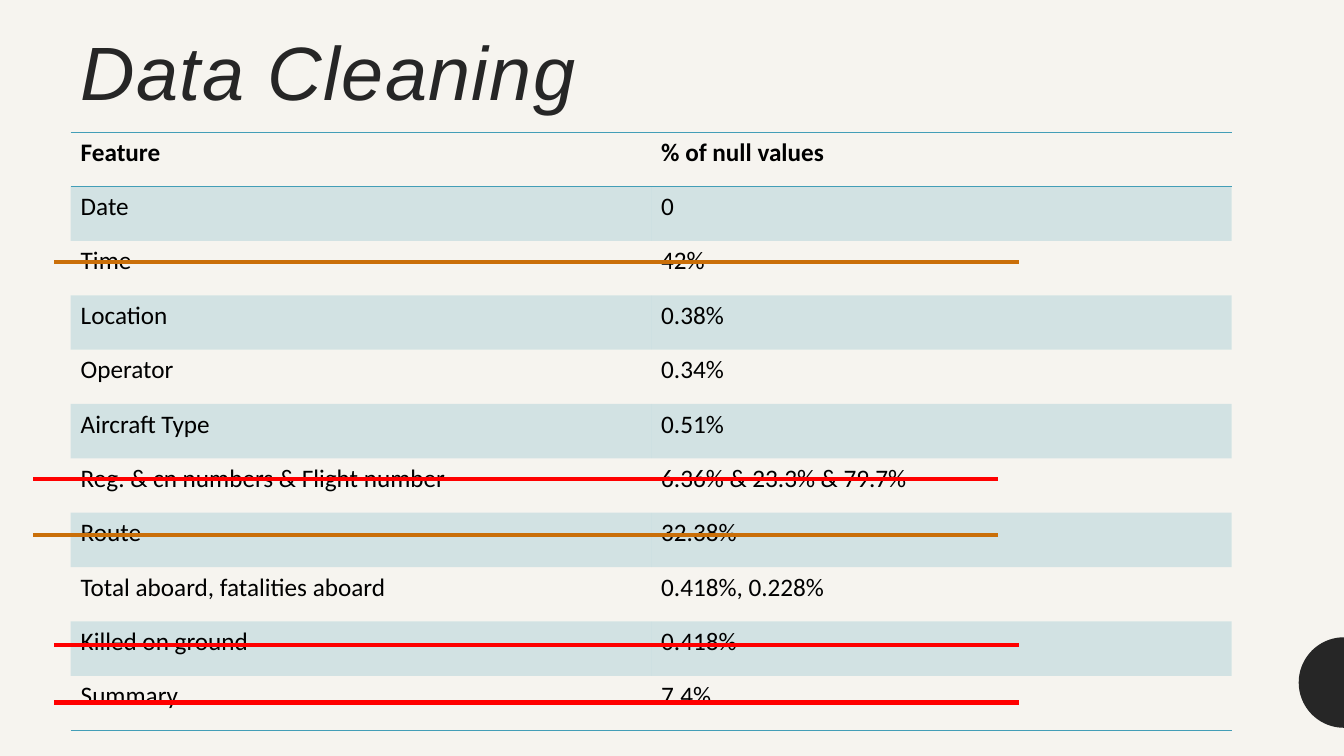
import math
from dataclasses import dataclass

import pptx
import pptx.dml.color
import pptx.enum.shapes
import pptx.enum.text
import pptx.oxml
import pptx.oxml.ns
import pptx.shapes.connector
import pptx.shapes.freeform
import pptx.slide
import pptx.table
import pptx.util
from pptx.dml.color import RGBColor
from pptx.util import Cm

PAPER = RGBColor(0xF6, 0xF4, 0xEF)
INK = RGBColor(0x26, 0x26, 0x26)
BLACK = RGBColor(0x00, 0x00, 0x00)
TEAL = RGBColor(0x43, 0x9E, 0xB7)
RED = RGBColor(0xFF, 0x00, 0x00)
ORANGE = RGBColor(0xCA, 0x6F, 0x09)

SLIDE_WIDTH, SLIDE_HEIGHT = 33.87, 19.05
TABLE_LEFT, TABLE_TOP = 1.78, 3.33
COLUMN_WIDTH, ROW_HEIGHT = 14.63, 1.37
STRIKE_LENGTH = 24.3
BAND_OPACITY = 20
PLAIN_TABLE_STYLE = "{2D5ABB26-0587-4C30-8999-92F81FD0307C}"


@dataclass(frozen=True)
class Feature:
    name: str
    nulls: str


@dataclass(frozen=True)
class Strike:
    """A line drawn through a feature; left and y in centimetres."""
    left: float
    y: float
    color: RGBColor


FEATURES = [
    Feature("Feature", "% of null values"),
    Feature("Date", "0"),
    Feature("Time", "42%"),
    Feature("Location", "0.38%"),
    Feature("Operator", "0.34%"),
    Feature("Aircraft Type", "0.51%"),
    Feature("Reg. & cn numbers & Flight number", "6.36% & 23.3% & 79.7%"),
    Feature("Route", "32.38%"),
    Feature("Total aboard, fatalities aboard", "0.418%, 0.228%"),
    Feature("Killed on ground", "0.418%"),
    Feature("Summary", "7.4%"),
]

STRIKES = [
    Strike(0.84, 12.07, RED),
    Strike(1.37, 17.7, RED),
    Strike(1.37, 16.26, RED),
    Strike(1.37, 6.6, ORANGE),
    Strike(0.84, 13.49, ORANGE),
]


def add_edge_half_disc(slide: pptx.slide.Slide) -> None:
    """Draw the left half of a disc centred on the slide's right edge."""
    center_y, radius, steps = 17.2, 1.14, 48
    angles = [math.pi * (0.5 + step / steps) for step in range(steps + 1)]
    points = [(Cm(SLIDE_WIDTH + radius * math.cos(angle)),
               Cm(center_y - radius * math.sin(angle))) for angle in angles]
    builder = slide.shapes.build_freeform(*points[0])
    builder.add_line_segments(points[1:], close=True)
    half_disc = builder.convert_to_shape()
    half_disc.shadow.inherit = False
    half_disc.fill.solid()
    half_disc.fill.fore_color.rgb = INK
    half_disc.line.fill.background()


def add_border(cell: pptx.table._Cell, tag: str) -> None:
    cell._tc.get_or_add_tcPr().append(pptx.oxml.parse_xml(
        f'<a:{tag} {pptx.oxml.ns.nsdecls("a")} w="12700"><a:solidFill>'
        f'<a:srgbClr val="{TEAL}"/></a:solidFill></a:{tag}>'))


def fill_band(cell: pptx.table._Cell) -> None:
    cell.fill.solid()
    cell.fill.fore_color.rgb = TEAL
    color = cell._tc.tcPr.find(".//" + pptx.oxml.ns.qn("a:solidFill")
                               + "/" + pptx.oxml.ns.qn("a:srgbClr"))
    color.append(pptx.oxml.parse_xml(
        f'<a:alpha {pptx.oxml.ns.nsdecls("a")} val="{BAND_OPACITY * 1000}"/>'))


def add_feature_table(slide: pptx.slide.Slide) -> None:
    frame = slide.shapes.add_table(
        len(FEATURES), 2, Cm(TABLE_LEFT), Cm(TABLE_TOP),
        Cm(2 * COLUMN_WIDTH), Cm(len(FEATURES) * ROW_HEIGHT))
    features = frame.table
    features.horz_banding = False
    features.first_row = True
    style = features._tbl.tblPr.find(pptx.oxml.ns.qn("a:tableStyleId"))
    style.text = PLAIN_TABLE_STYLE
    for column in features.columns:
        column.width = Cm(COLUMN_WIDTH)
    last = len(FEATURES) - 1
    for index, feature in enumerate(FEATURES):
        features.rows[index].height = Cm(ROW_HEIGHT)
        for column, wording in enumerate((feature.name, feature.nulls)):
            cell = features.cell(index, column)
            cell.text = wording
            font = cell.text_frame.paragraphs[0].font
            font.name = "Calibri"
            font.size = pptx.util.Pt(18)
            font.bold = index == 0
            font.color.rgb = BLACK
            if index == 0:
                add_border(cell, "lnT")
            if index in (0, last):
                add_border(cell, "lnB")
            if index % 2:
                fill_band(cell)
            else:
                cell.fill.background()


def add_strike(slide: pptx.slide.Slide, strike: Strike) -> None:
    line = slide.shapes.add_connector(
        pptx.enum.shapes.MSO_CONNECTOR.STRAIGHT, Cm(strike.left), Cm(strike.y),
        Cm(strike.left + STRIKE_LENGTH), Cm(strike.y))
    line.line.color.rgb = strike.color
    line.line.width = pptx.util.Pt(3)
    line._element.spPr.append(pptx.oxml.parse_xml(
        f'<a:effectLst {pptx.oxml.ns.nsdecls("a")}/>'))


def add_title(slide: pptx.slide.Slide) -> None:
    title = slide.shapes.add_textbox(
        Cm(TABLE_LEFT), Cm(0.56), Cm(29.31), Cm(1.57)).text_frame
    title.word_wrap = True
    title.vertical_anchor = pptx.enum.text.MSO_ANCHOR.TOP
    title.margin_top = Cm(0.08)
    heading = title.paragraphs[0]
    heading.font.name = "Arial"
    heading.font.size = pptx.util.Pt(54)
    heading.font.italic = True
    heading.font.color.rgb = INK
    wording = heading.add_run()
    wording.text = "Data Cleaning"
    wording._r.get_or_add_rPr().set("spc", "100")


def main() -> None:
    deck = pptx.Presentation()
    deck.slide_width, deck.slide_height = Cm(SLIDE_WIDTH), Cm(SLIDE_HEIGHT)
    slide = deck.slides.add_slide(deck.slide_layouts[6])
    slide.background.fill.solid()
    slide.background.fill.fore_color.rgb = PAPER
    add_edge_half_disc(slide)
    add_feature_table(slide)
    for strike in STRIKES:
        add_strike(slide, strike)
    add_title(slide)
    deck.save("out.pptx")


if __name__ == "__main__":
    main()
